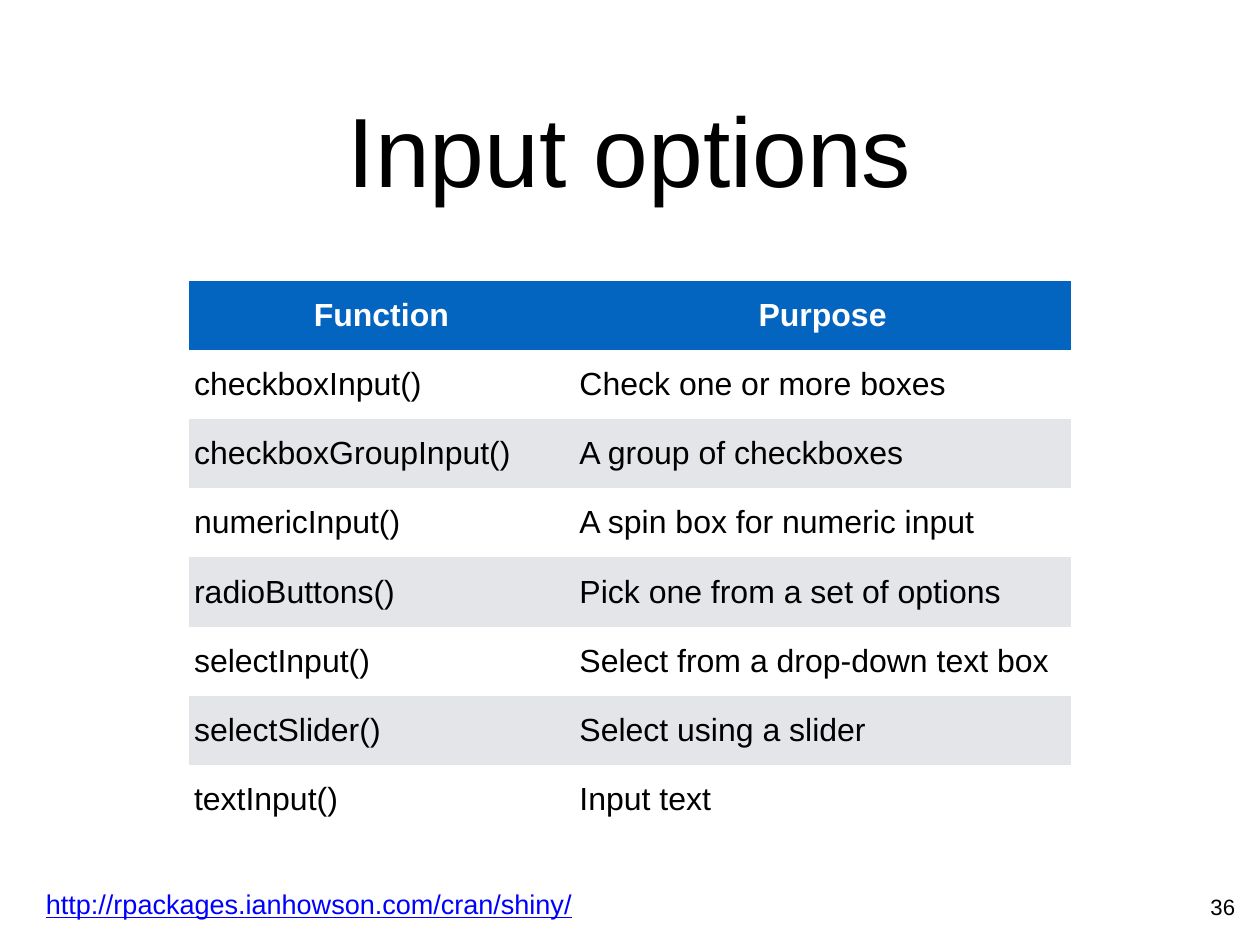
from dataclasses import dataclass

import pptx
import pptx.dml.color
import pptx.enum.text
import pptx.oxml.ns
import pptx.util

Align = pptx.enum.text.PP_ALIGN
Anchor = pptx.enum.text.MSO_ANCHOR
AutoSize = pptx.enum.text.MSO_AUTO_SIZE

SLIDE_WIDTH = pptx.util.Inches(14.22)
SLIDE_HEIGHT = pptx.util.Inches(10.67)
PLAIN_TABLE_STYLE = "{2D5ABB26-0587-4C30-8999-92F81FD0307C}"


@dataclass(frozen=True)
class Theme:
    font: str = "Arial"
    ink: str = "000000"
    paper: str = "FFFFFF"
    header: str = "0365C0"
    band: str = "E3E5E8"
    link: str = "0000FF"
    title_size: int = 80
    table_size: int = 26
    link_size: int = 22
    number_size: int = 18
    inset: float = 0.06


THEME = Theme()


@dataclass(frozen=True)
class Area:
    """A rectangle in percent of the slide's width and height."""
    left: float
    top: float
    width: float
    height: float

    def lengths(self) -> tuple[int, int, int, int]:
        return (across(self.left), down(self.top), across(self.width), down(self.height))


@dataclass(frozen=True)
class Style:
    size: int
    color: str = THEME.ink
    bold: bool = False
    underline: bool = False
    align: Align = Align.LEFT


@dataclass(frozen=True)
class Label:
    text: str
    area: Area
    style: Style
    anchor: Anchor = Anchor.MIDDLE
    inset: float = 0
    wrap: bool = True
    line_spacing: float = 1.0


@dataclass(frozen=True)
class InputOption:
    function: str
    purpose: str


LABELS = [
    Label("Input options", Area(7.31, 4.59, 85.37, 22.12),
          Style(THEME.title_size, align=Align.CENTER)),
    Label("36", Area(95.64, 94.56, 2.81, 3.94),
          Style(THEME.number_size, align=Align.CENTER), anchor=Anchor.TOP, wrap=False),
    Label("http://rpackages.ianhowson.com/cran/shiny/", Area(3.23, 93.06, 43.95, 4.5),
          Style(THEME.link_size, THEME.link, underline=True),
          inset=THEME.inset, wrap=False, line_spacing=1.18),
]

HEADING = InputOption("Function", "Purpose")
OPTIONS = [
    InputOption("checkboxInput()", "Check one or more boxes"),
    InputOption("checkboxGroupInput()", "A group of checkboxes"),
    InputOption("numericInput()", "A spin box for numeric input"),
    InputOption("radioButtons()", "Pick one from a set of options"),
    InputOption("selectInput()", "Select from a drop-down text box"),
    InputOption("selectSlider()", "Select using a slider"),
    InputOption("textInput()", "Input text"),
]
TABLE_AREA = Area(14.98, 29.71, 70.04, 58.58)
COLUMN_WIDTHS = (30.59, 39.45)
HEADING_STYLE = Style(THEME.table_size, THEME.paper, bold=True, align=Align.CENTER)
OPTION_STYLE = Style(THEME.table_size)


def across(percent: float) -> int:
    return round(SLIDE_WIDTH * percent / 100)


def down(percent: float) -> int:
    return round(SLIDE_HEIGHT * percent / 100)


def rgb(color: str) -> pptx.dml.color.RGBColor:
    return pptx.dml.color.RGBColor.from_string(color)


def write(frame, text: str, style: Style) -> None:
    para = frame.paragraphs[0]
    para.alignment = style.align
    span = para.add_run()
    span.text = text
    span.font.name = THEME.font
    span.font.size = pptx.util.Pt(style.size)
    span.font.color.rgb = rgb(style.color)
    span.font.bold = style.bold
    span.font.underline = style.underline


def set_insets(holder, inset: float) -> None:
    """Give a cell or a text frame the same margin on all four sides."""
    margin = pptx.util.Inches(inset)
    holder.margin_left = holder.margin_right = margin
    holder.margin_top = holder.margin_bottom = margin


def add_label(page, label: Label) -> None:
    frame = page.shapes.add_textbox(*label.area.lengths()).text_frame
    frame.word_wrap = label.wrap
    frame.auto_size = AutoSize.NONE if label.wrap else AutoSize.SHAPE_TO_FIT_TEXT
    frame.vertical_anchor = label.anchor
    set_insets(frame, label.inset)
    write(frame, label.text, label.style)
    frame.paragraphs[0].line_spacing = label.line_spacing


def fill_cell(cell, text: str, style: Style, color: str) -> None:
    cell.fill.solid()
    cell.fill.fore_color.rgb = rgb(color)
    cell.vertical_anchor = Anchor.MIDDLE
    set_insets(cell, THEME.inset)
    write(cell.text_frame, text, style)


def add_option_table(page) -> None:
    rows = [HEADING, *OPTIONS]
    box = page.shapes.add_table(len(rows), len(COLUMN_WIDTHS), *TABLE_AREA.lengths())
    table = box.table
    table.horz_banding = False
    for style_id in box.element.iter(pptx.oxml.ns.qn("a:tableStyleId")):
        style_id.text = PLAIN_TABLE_STYLE
    for column, width in zip(table.columns, COLUMN_WIDTHS):
        column.width = across(width)
    for index, option in enumerate(rows):
        table.rows[index].height = down(TABLE_AREA.height / len(rows))
        if index == 0:
            style, color = HEADING_STYLE, THEME.header
        else:
            style, color = OPTION_STYLE, THEME.paper if index % 2 else THEME.band
        for column, text in enumerate((option.function, option.purpose)):
            fill_cell(table.cell(index, column), text, style, color)


def main() -> None:
    deck = pptx.Presentation()
    deck.slide_width = SLIDE_WIDTH
    deck.slide_height = SLIDE_HEIGHT
    page = deck.slides.add_slide(deck.slide_layouts[6])
    page.background.fill.solid()
    page.background.fill.fore_color.rgb = rgb(THEME.paper)
    add_option_table(page)
    for label in LABELS:
        add_label(page, label)
    deck.save("out.pptx")


if __name__ == "__main__":
    main()
